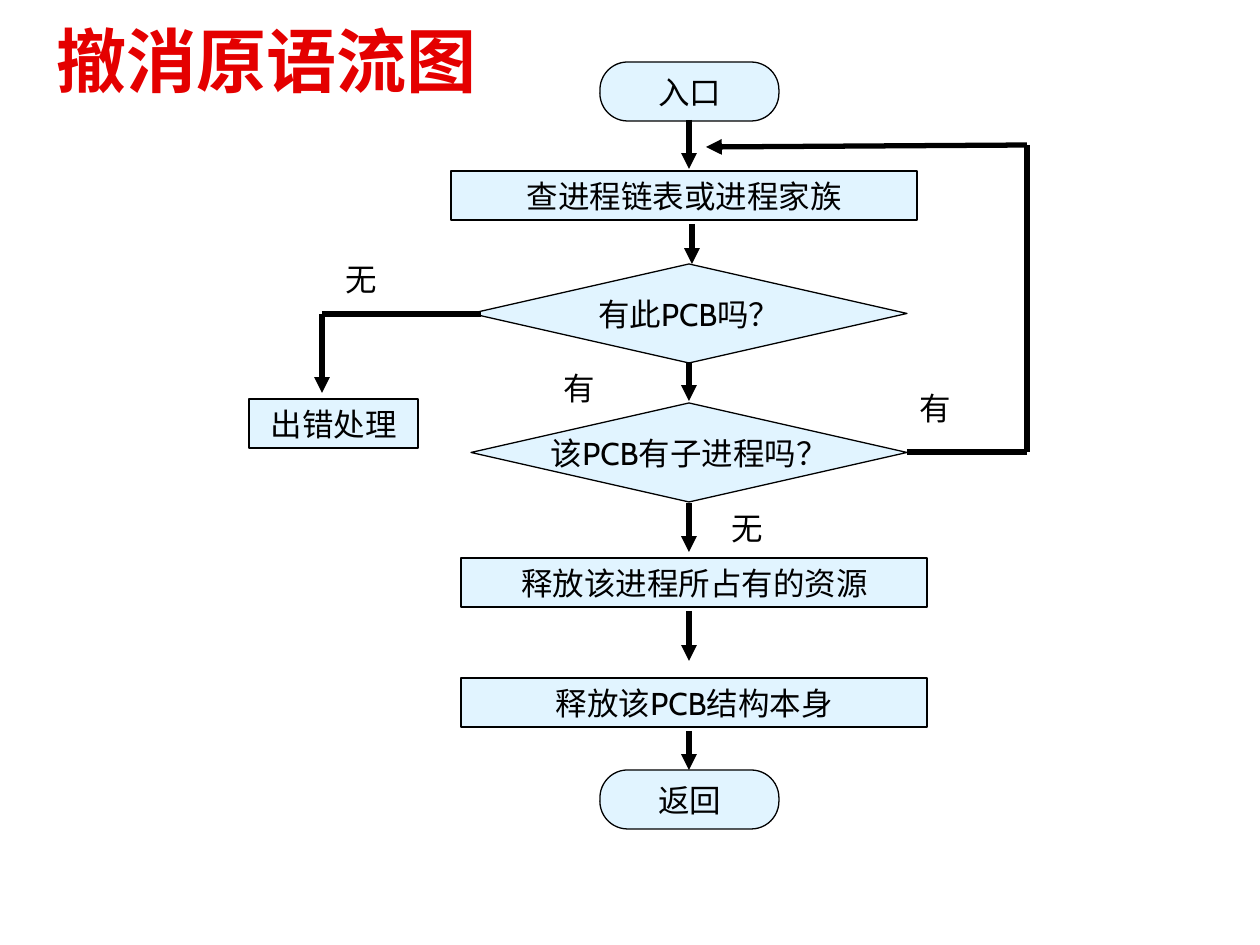
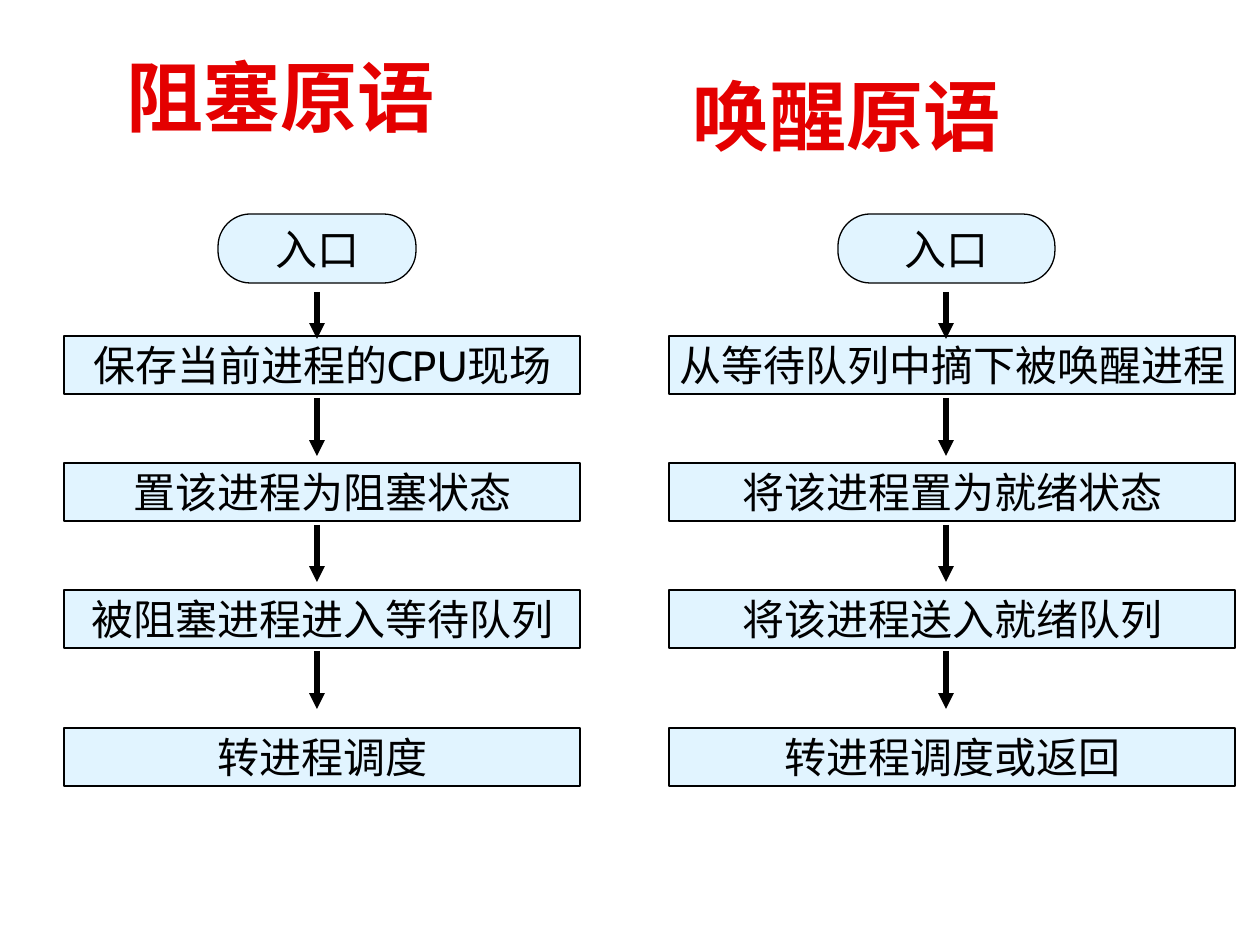
from lxml import etree
from pptx import Presentation
from pptx import util as u
from pptx.dml.color import RGBColor
from pptx.enum import shapes, text
from pptx.oxml.ns import qn

PX = u.Inches(1) / 126
INK, PALE, RED = "000000", "E1F4FF", "E40000"
PROCESS = shapes.MSO_SHAPE.RECTANGLE
TERMINAL = shapes.MSO_SHAPE.ROUNDED_RECTANGLE
DECISION = shapes.MSO_SHAPE.DIAMOND
color = RGBColor.from_string


def write(slide, kind, box, words, size, ink=INK, inset=13):
    """Add a flowchart step, or a plain text box when kind is None."""
    place = [int(v * PX) for v in box]
    if kind is None:
        step = slide.shapes.add_textbox(*place)
    else:
        step = slide.shapes.add_shape(kind, *place)
        step.shadow.inherit = False
        step.fill.solid()
        step.fill.fore_color.rgb = color(PALE)
        step.line.color.rgb = color(INK)
        step.line.width = u.Pt(0.75)
        if kind == TERMINAL:
            step.adjustments[0] = 0.47
    frame = step.text_frame
    frame.word_wrap = kind is None
    frame.margin_left = int(inset * PX)
    # Branch labels hang from the top; titles and steps are centred vertically
    is_label = kind is None and ink == INK
    frame.vertical_anchor = text.MSO_ANCHOR.TOP if is_label else text.MSO_ANCHOR.MIDDLE
    paragraph = frame.paragraphs[0]
    paragraph.alignment = text.PP_ALIGN.LEFT if kind is None else text.PP_ALIGN.CENTER
    run = paragraph.add_run()
    run.text = words
    run.font.size = u.Pt(size)
    run.font.name = "Arial" if ink == RED else "Cabin"
    run.font.bold = ink == RED
    run.font.color.rgb = color(ink)


def flow(slide, x1, y1, x2, y2, arrow=True):
    ends = [int(v * PX) for v in (x1, y1, x2, y2)]
    link = slide.shapes.add_connector(shapes.MSO_CONNECTOR.STRAIGHT, *ends)
    link.line.color.rgb = color(INK)
    link.line.width = u.Pt(3)
    if arrow:
        etree.SubElement(link.line._get_or_add_ln(), qn("a:tailEnd"), type="triangle")
    etree.SubElement(link._element.spPr, qn("a:effectLst"))


deck = Presentation()
deck.slide_width, deck.slide_height = u.Inches(10), u.Inches(7.5)
blank = deck.slide_layouts[6]

# Slide 1: flowchart of the destroy primitive
destroy = deck.slides.add_slide(blank)
write(destroy, None, (44, 35, 517, 49), "撤消原语流图", 40, RED)

for kind, box, words in [
    (TERMINAL, (600, 62, 179, 59), "入口"),
    (PROCESS, (451, 171, 466, 49), "查进程链表或进程家族"),
    (DECISION, (471, 264, 436, 99), "有此PCB吗？"),
    (DECISION, (471, 403, 436, 99), "该PCB有子进程吗？"),
    (PROCESS, (461, 558, 466, 49), "释放该进程所占有的资源"),
    (PROCESS, (461, 678, 466, 49), "释放该PCB结构本身"),
    (TERMINAL, (600, 770, 179, 59), "返回"),
    (PROCESS, (249, 399, 169, 49), "出错处理"),
]:
    write(destroy, kind, box, words, 18)

# Main path downwards
for x, top, bottom in [(689, 120, 169), (692, 224, 264), (689, 362, 401),
                       (689, 503, 552), (689, 611, 661), (689, 731, 770)]:
    flow(destroy, x, top, x, bottom)

# Error branch, then the loop back for child processes
flow(destroy, 322, 314, 481, 314, arrow=False)
flow(destroy, 322, 314, 322, 393)
flow(destroy, 907, 452, 1027, 452, arrow=False)
flow(destroy, 1027, 145, 1027, 452, arrow=False)
flow(destroy, 1027, 145, 706, 147)

# Branch labels
for x, y, answer in [(333, 254, "无"), (551, 363, "有"), (907, 383, "有"), (719, 503, "无")]:
    write(destroy, None, (x, y, 100, 50), answer, 18)

# Slide 2: block and wake-up primitives side by side
pair = deck.slides.add_slide(blank)
STEP_TOPS = (336, 463, 590, 728)
ARROWS = ((292, 339), (398, 456), (525, 582), (651, 709))

for title, title_x, title_y, entry_x, entry_w, step_x, step_w, axis, steps in [
    ("阻塞原语", 64, 26, 218, 198, 64, 516, 317,
     ("保存当前进程的CPU现场", "置该进程为阻塞状态", "被阻塞进程进入等待队列", "转进程调度")),
    ("唤醒原语", 630, 45, 838, 217, 669, 566, 946,
     ("从等待队列中摘下被唤醒进程", "将该进程置为就绪状态", "将该进程送入就绪队列", "转进程调度或返回")),
]:
    write(pair, None, (title_x, title_y, 427, 139), title, 44, RED, inset=63)
    write(pair, TERMINAL, (entry_x, 214, entry_w, 69), "入口", 24)
    for top, words in zip(STEP_TOPS, steps):
        write(pair, PROCESS, (step_x, top, step_w, 58), words, 24)
    for start, end in ARROWS:
        flow(pair, axis, start, axis, end)

deck.save("out.pptx")
